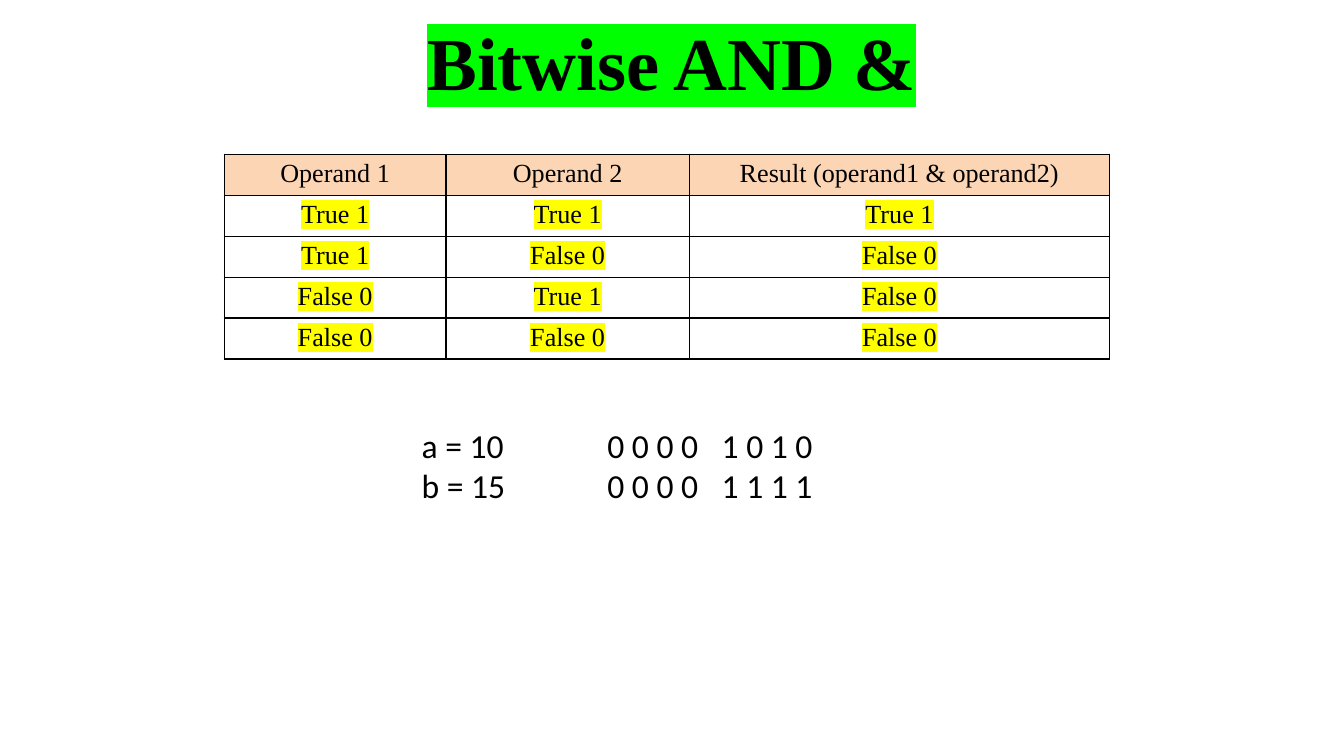
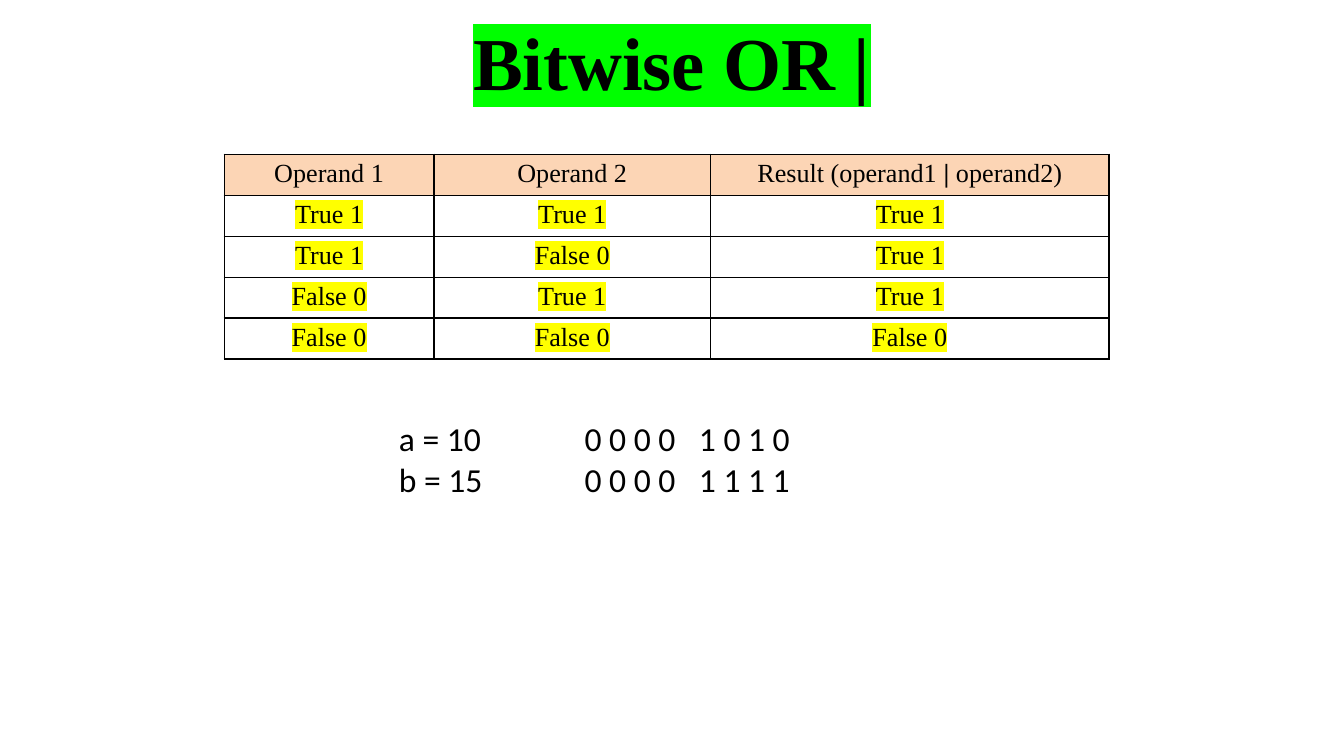
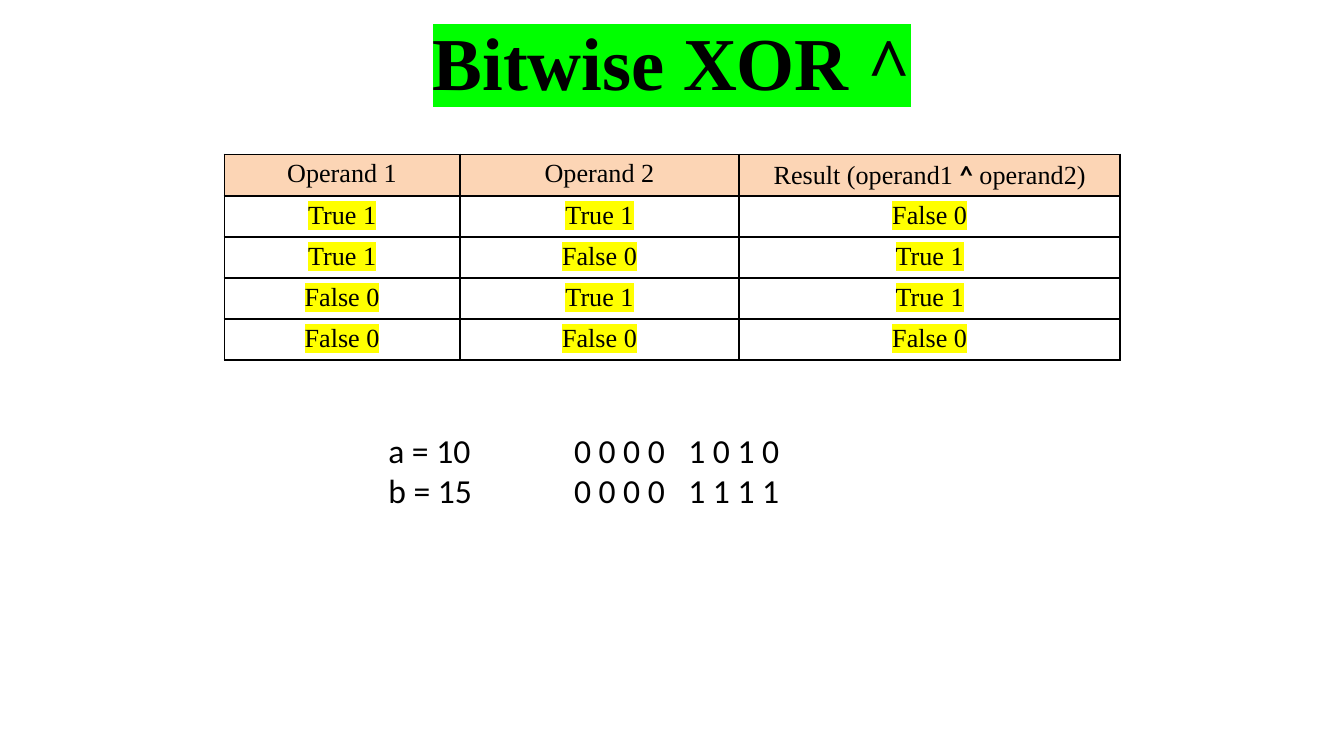
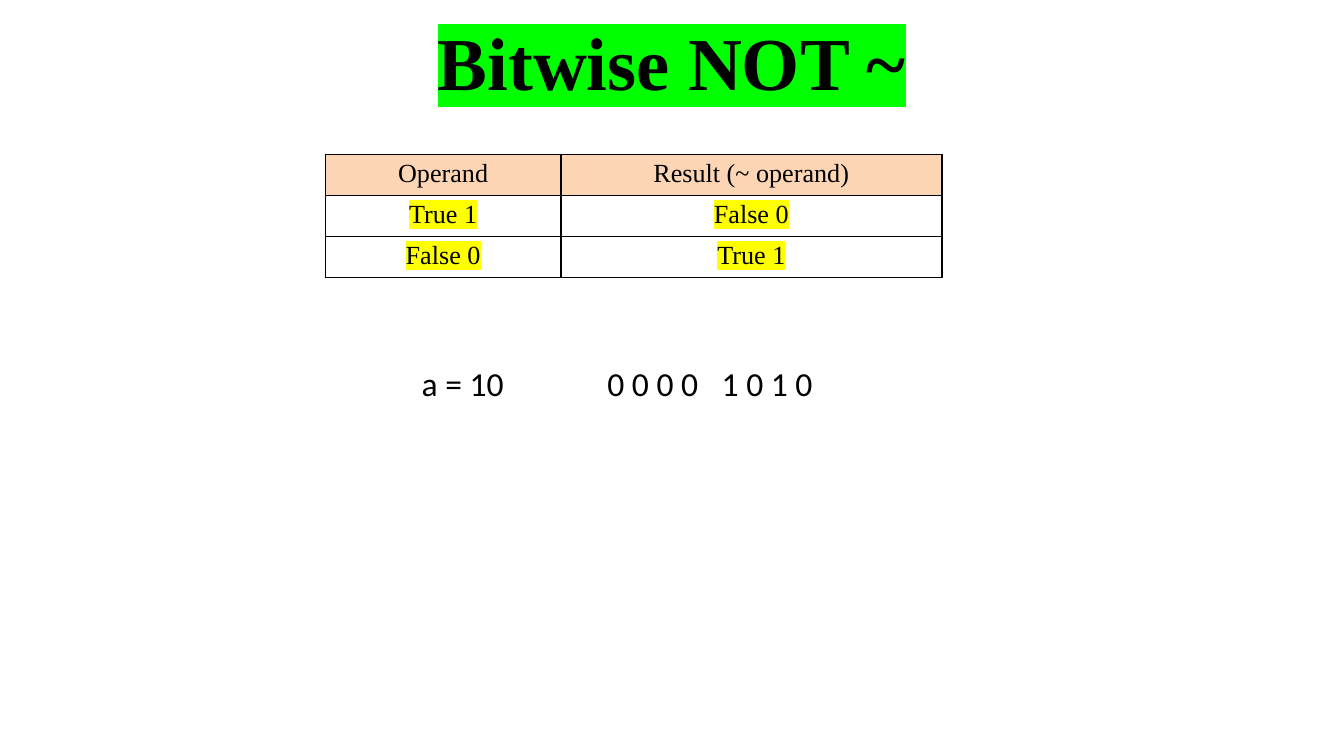
from lxml.etree import SubElement
from pptx import Presentation
from pptx.dml.color import RGBColor
from pptx.enum.text import MSO_ANCHOR, PP_ALIGN
from pptx.oxml.ns import qn
from pptx.util import Cm, Pt

COLORS = {
    "text": "000000",
    "border": "000000",
    "header": "FCD5B5",
    "title_mark": "00FF00",
    "value_mark": "FFFF00",
}
SERIF, SANS = "Times New Roman", "Calibri"
TRUTH = {1: "True 1", 0: "False 0"}

# Content: lengths in cm; a header is a list of (text, bold, font) runs
OPERANDS = [[("Operand 1", False, SERIF)], [("Operand 2", False, SERIF)]]
NUMBERS = [("a = 10", "0 0 0 0\t1 0 1 0"), ("b = 15", "0 0 0 0\t1 1 1 1")]
SLIDES = [
    {
        "title": "Bitwise AND &",
        "headers": OPERANDS + [[("Result (operand1 & operand2)", False, SERIF)]],
        "rows": [(1, 1, 1), (1, 0, 0), (0, 1, 0), (0, 0, 0)],
        "table_left": 4.24, "columns": (4.19, 4.6, 7.94), "header_height": 0.76,
        "numbers": NUMBERS, "numbers_at": (7.72, 7.9),
    },
    {
        "title": "Bitwise OR |",
        "headers": OPERANDS + [[("Result (operand1 ", False, SERIF), ("|", True, SERIF),
                                (" operand2)", False, SERIF)]],
        "rows": [(1, 1, 1), (1, 0, 1), (0, 1, 1), (0, 0, 0)],
        "table_left": 4.24, "columns": (3.96, 5.23, 7.53), "header_height": 0.74,
        "numbers": NUMBERS, "numbers_at": (7.29, 7.78),
    },
    {
        "title": "Bitwise XOR ^",
        "headers": OPERANDS + [[("Result (operand1 ", False, SERIF), ("^", True, SANS),
                                (" operand2)", False, SERIF)]],
        "rows": [(1, 1, 0), (1, 0, 1), (0, 1, 1), (0, 0, 0)],
        "table_left": 4.24, "columns": (4.45, 5.28, 7.2), "header_height": 0.79,
        "numbers": NUMBERS, "numbers_at": (7.09, 8.0),
    },
    {
        "title": "Bitwise NOT ~",
        "headers": [[("Operand", False, SERIF)], [("Result (~ operand)", False, SERIF)]],
        "rows": [(1, 0), (0, 1)],
        "table_left": 6.15, "columns": (4.45, 7.2), "header_height": 0.74,
        "numbers": NUMBERS[:1], "numbers_at": (7.72, 6.73),
    },
]
TABLE_TOP, ROW_HEIGHT = 2.92, 0.74
NAME_WIDTH, BITS_WIDTH, BITS_OFFSET, NIBBLE_STOP = 2.16, 4.45, 3.51, 2.16


def color(name):
    return RGBColor.from_string(COLORS[name])


def style_font(paragraph, name, size, bold=False):
    font = paragraph.font
    font.name, font.size, font.bold = name, Pt(size), bold
    font.color.rgb = color("text")


def add_marked_run(paragraph, text, mark):
    run = paragraph.add_run()
    run.text = text
    highlight = SubElement(run._r.get_or_add_rPr(), qn("a:highlight"))
    SubElement(highlight, qn("a:srgbClr"), val=COLORS[mark])


def add_title(slide, text):
    box = slide.shapes.add_textbox(Cm(1.27), Cm(-0.05), Cm(22.86), Cm(2.39))
    frame = box.text_frame
    frame.word_wrap = True
    frame.vertical_anchor = MSO_ANCHOR.MIDDLE
    paragraph = frame.paragraphs[0]
    paragraph.alignment = PP_ALIGN.CENTER
    style_font(paragraph, SERIF, 40, True)
    add_marked_run(paragraph, text, "title_mark")


def style_cell(cell):
    cell.margin_top = cell.margin_bottom = Cm(0.09)
    properties = cell._tc.get_or_add_tcPr()
    for side in ("a:lnL", "a:lnR", "a:lnT", "a:lnB"):
        line = SubElement(properties, qn(side), w=str(Pt(1)))
        fill = SubElement(line, qn("a:solidFill"))
        SubElement(fill, qn("a:srgbClr"), val=COLORS["border"])
    paragraph = cell.text_frame.paragraphs[0]
    paragraph.alignment = PP_ALIGN.CENTER
    style_font(paragraph, SERIF, 14)
    return paragraph


def add_truth_table(slide, content):
    columns, rows = content["columns"], content["rows"]
    heights = [content["header_height"]] + [ROW_HEIGHT] * len(rows)
    table = slide.shapes.add_table(
        len(heights), len(columns), Cm(content["table_left"]), Cm(TABLE_TOP),
        Cm(sum(columns)), Cm(sum(heights))).table
    table.first_row = table.horz_banding = False
    for column, width in zip(table.columns, columns):
        column.width = Cm(width)
    for row, height in zip(table.rows, heights):
        row.height = Cm(height)

    for index, runs in enumerate(content["headers"]):
        cell = table.cell(0, index)
        paragraph = style_cell(cell)
        for text, bold, font_name in runs:
            run = paragraph.add_run()
            run.text = text
            if bold:
                run.font.bold, run.font.name = True, font_name
        cell.fill.solid()
        cell.fill.fore_color.rgb = color("header")

    for row_index, values in enumerate(rows, 1):
        for column_index, value in enumerate(values):
            cell = table.cell(row_index, column_index)
            add_marked_run(style_cell(cell), TRUTH[value], "value_mark")
            cell.fill.background()


def add_lines(slide, lines, left, top, width):
    box = slide.shapes.add_textbox(Cm(left), Cm(top), Cm(width), Cm(0.25 + 0.77 * len(lines)))
    frame = box.text_frame
    frame.word_wrap = True
    for index, text in enumerate(lines):
        paragraph = frame.add_paragraph() if index else frame.paragraphs[0]
        if "\t" in text:
            stops = SubElement(paragraph._p.get_or_add_pPr(), qn("a:tabLst"))
            SubElement(stops, qn("a:tab"), pos=str(Cm(NIBBLE_STOP)), algn="l")
        style_font(paragraph, SANS, 18)
        paragraph.add_run().text = text


def main():
    presentation = Presentation()
    presentation.slide_width, presentation.slide_height = Cm(25.4), Cm(14.29)
    for content in SLIDES:
        slide = presentation.slides.add_slide(presentation.slide_layouts[6])
        add_title(slide, content["title"])
        add_truth_table(slide, content)
        # Decimal names beside their bit patterns
        names, bits = zip(*content["numbers"])
        left, top = content["numbers_at"]
        add_lines(slide, names, left, top, NAME_WIDTH)
        add_lines(slide, bits, left + BITS_OFFSET, top, BITS_WIDTH)
    presentation.save("out.pptx")


if __name__ == "__main__":
    main()
